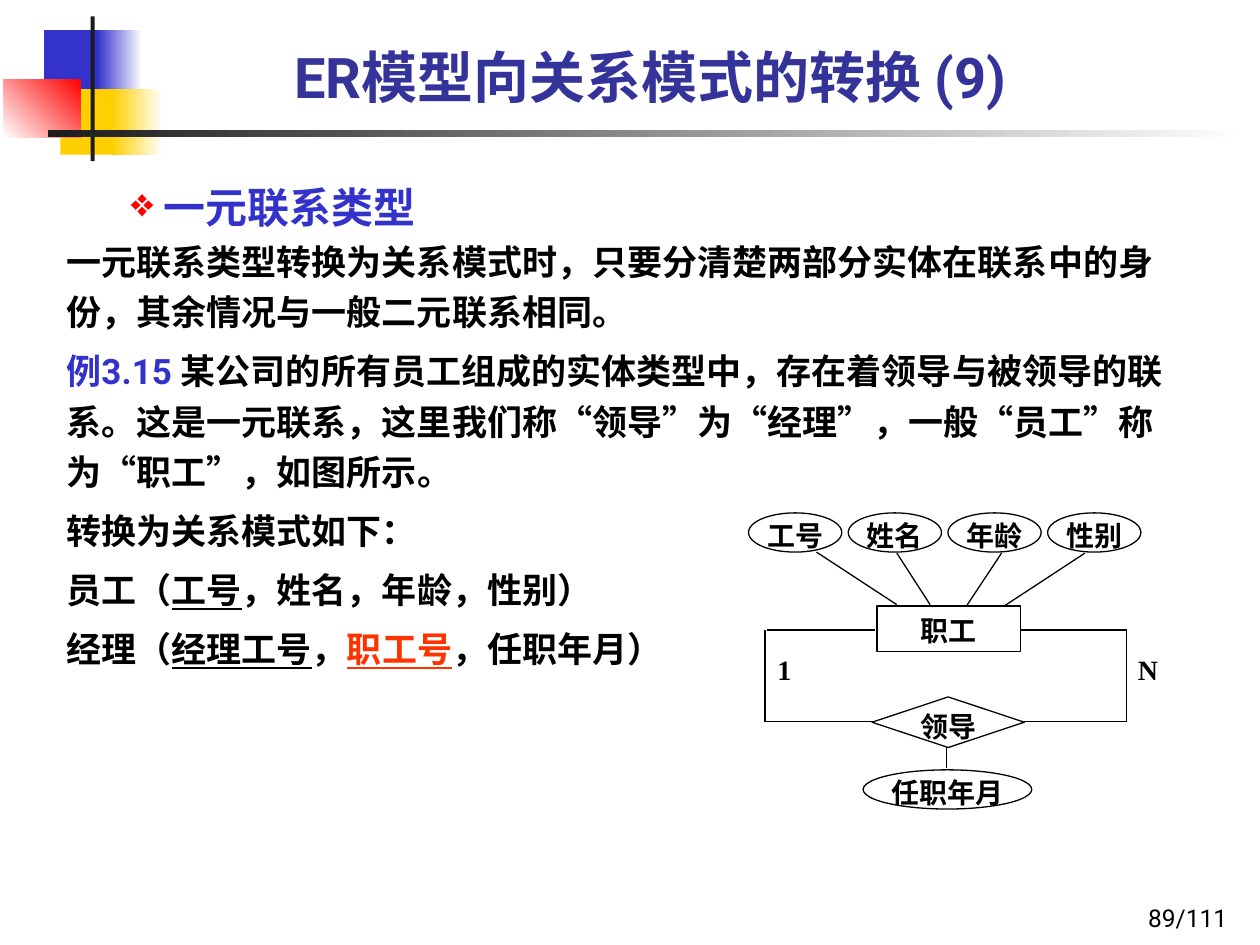
"""Build the slide on turning unary ER links into relation schemas."""
from dataclasses import dataclass
from itertools import groupby
from typing import NamedTuple, Optional

from lxml import etree
from pptx import Presentation
from pptx.dml.color import RGBColor
from pptx.enum import shapes, text
from pptx.oxml.ns import qn
from pptx.util import Cm, Pt

KIND = shapes.MSO_SHAPE
ALIGN = text.PP_ALIGN
ANCHOR = text.MSO_ANCHOR


@dataclass(frozen=True)
class Theme:
    """Colours, fonts and type sizes."""
    sans: str = "Roboto"
    serif: str = "Times New Roman"
    black: str = "000000"
    white: str = "FFFFFF"
    ink: str = "1C1C1C"
    blue: str = "3333CC"
    navy: str = "333399"
    gold: str = "FFCF01"
    red: str = "FF0000"
    key: str = "FF3300"
    title: int = 32
    head: int = 24
    body: int = 20
    node: int = 16
    page: int = 14
    line: float = 0.75


T = Theme()


class Box(NamedTuple):
    """Place and size in centimetres."""
    x: float
    y: float
    w: float
    h: float

    def emu(self) -> list:
        """Give the four lengths as Cm."""
        return [Cm(v) for v in self]


class Block(NamedTuple):
    """A plain or fading block of the corner mark."""
    box: Box
    tone: str
    fade: Optional[str] = None
    turn: int = 0


class Node(NamedTuple):
    """A labelled part of the ER chart."""
    word: str
    kind: int
    box: Box
    fill: Optional[str] = None
    top: float = 0


class Bit(NamedTuple):
    """A piece of body text."""
    word: str
    tone: str = T.black
    under: bool = False


BLOCKS = [
    Block(Box(0.89, 0.61, 1.22, 1.32), T.blue),
    Block(Box(1.96, 0.61, 0.91, 1.32), T.blue, T.white),
    Block(Box(1.22, 1.8, 1.17, 1.32), T.gold),
    Block(Box(2.26, 1.8, 1.02, 1.32), T.gold, T.white),
    Block(Box(0.08, 1.6, 1.55, 1.17), T.white, T.red, 45),
    Block(Box(1.83, 0.33, 0.08, 2.92), T.ink),
    Block(Box(0.97, 2.62, 24.16, 0.15), T.ink, T.white),
]
LINES = [
    (16.46, 11.13, 18.08, 12.19), (18.08, 11.15, 18.75, 12.19),
    (20.19, 11.15, 19.48, 12.22), (21.87, 11.15, 20.24, 12.22),
    (15.47, 12.7, 17.63, 12.7), (20.55, 12.7, 22.71, 12.7),
    (15.42, 12.7, 15.42, 14.55), (22.71, 12.7, 22.71, 14.55),
    (15.42, 14.55, 22.71, 14.55), (19.08, 15.04, 19.08, 15.49),
]
NODES = [
    Node(word, KIND.OVAL, Box(15.09 + 2.01 * i, 10.34, 1.88, 0.79))
    for i, word in enumerate(["工号", "姓名", "年龄", "性别"])
] + [
    Node("职工", KIND.RECTANGLE, Box(17.68, 12.22, 2.9, 0.91), T.white, 0.15),
    Node("领导", KIND.DIAMOND, Box(17.58, 14.05, 3.07, 1.02), T.white),
    Node("任职年月", KIND.OVAL, Box(17.4, 15.52, 3.4, 0.79)),
]
ENDS = [("1", Box(15.67, 13.16, 0.53, 0.53)), ("N", Box(22.94, 13.16, 0.53, 0.53))]
BODY = [
    [Bit("一元联系类型转换为关系模式时，只要分清楚两部分实体在联系中的身份，其余情况与一般二元联系相同。")],
    [Bit("例3.15 ", T.blue),
     Bit("某公司的所有员工组成的实体类型中，存在着领导与被领导的联系。这是一元联系，"
         "这里我们称“领导”为“经理”，一般“员工”称为“职工”，如图所示。")],
    [Bit("转换为关系模式如下：")],
    [Bit("员工（"), Bit("工号", under=True), Bit("，姓名，年龄，性别）")],
    [Bit("经理（"), Bit("经理工号", under=True), Bit("，"),
     Bit("职工号", T.key, True), Bit("，任职年月）")],
]


def write(para, word: str, *, size: int, tone: str = T.black, face: str = T.sans,
          bold: bool = True, under: bool = False) -> None:
    """Add text to a paragraph, with curly quotes in the serif face."""
    for quote, chars in groupby(word, lambda c: c in "“”"):
        run = para.add_run()
        run.text = "".join(chars)
        font = run.font
        font.name = T.serif if quote else face
        font.size, font.bold, font.underline = Pt(size), bold, under
        font.color.rgb = RGBColor.from_string(tone)


def inset(frame, left: float, top: float, right: float, foot: float) -> None:
    """Set the four margins of a text frame."""
    frame.margin_left, frame.margin_top = Cm(left), Cm(top)
    frame.margin_right, frame.margin_bottom = Cm(right), Cm(foot)


def frame_in(slide, box: Box):
    """Add a wrapping text box and return its frame."""
    frame = slide.shapes.add_textbox(*box.emu()).text_frame
    frame.word_wrap = True
    return frame


def draw_block(slide, item: Block) -> None:
    """Draw a block of the corner mark."""
    shape = slide.shapes.add_shape(KIND.RECTANGLE, *item.box.emu())
    shape.shadow.inherit = False
    shape.line.fill.background()
    if item.fade:
        shape.fill.gradient()
        shape.fill.gradient_angle = item.turn
        for stop, tone in zip(shape.fill.gradient_stops, (item.tone, item.fade)):
            stop.color.rgb = RGBColor.from_string(tone)
    else:
        shape.fill.solid()
        shape.fill.fore_color.rgb = RGBColor.from_string(item.tone)


def edge(line) -> None:
    """Give a line its colour and width."""
    line.color.rgb = RGBColor.from_string(T.black)
    line.width = Pt(T.line)


def draw_line(slide, ends: tuple) -> None:
    """Draw a straight link."""
    link = slide.shapes.add_connector(shapes.MSO_CONNECTOR.STRAIGHT, *map(Cm, ends))
    edge(link.line)
    etree.SubElement(link._element.spPr, qn("a:effectLst"))


def draw_node(slide, node: Node) -> None:
    """Draw a labelled node."""
    shape = slide.shapes.add_shape(node.kind, *node.box.emu())
    shape.shadow.inherit = False
    edge(shape.line)
    if node.fill:
        shape.fill.solid()
        shape.fill.fore_color.rgb = RGBColor.from_string(node.fill)
    else:
        shape.fill.background()
    frame = shape.text_frame
    frame.word_wrap, frame.vertical_anchor = False, ANCHOR.TOP
    inset(frame, 0, node.top, 0, 0)
    para = frame.paragraphs[0]
    para.alignment = ALIGN.CENTER
    write(para, node.word, size=T.node, face=T.serif)


def draw_title(slide) -> None:
    """Place and fill the title."""
    title = slide.shapes.title
    title.left, title.top, title.width, title.height = Box(2.29, 0.13, 21.64, 2.21).emu()
    frame = title.text_frame
    frame.auto_size, frame.vertical_anchor = text.MSO_AUTO_SIZE.NONE, ANCHOR.BOTTOM
    para = frame.paragraphs[0]
    para.alignment = ALIGN.CENTER
    write(para, "ER模型向关系模式的转换 (9)", size=T.title, tone=T.navy)


def bullet(para) -> None:
    """Give a paragraph the red diamond bullet."""
    props = para._p.get_or_add_pPr()
    props.set("marL", "0")
    props.set("indent", str(Cm(1.3)))
    tone = etree.SubElement(props, qn("a:buClr"))
    etree.SubElement(tone, qn("a:srgbClr"), val=T.red)
    etree.SubElement(props, qn("a:buSzPct"), val="95000")
    etree.SubElement(props, qn("a:buChar"), char="❖")


def draw_body(slide) -> None:
    """Write the heading and the body text."""
    frame = frame_in(slide, Box(1.09, 3.33, 23.01, 13.21))
    head = frame.paragraphs[0]
    bullet(head)
    head.line_spacing = 1.2
    write(head, " 一元联系类型", size=T.head, tone=T.blue)
    for i, bits in enumerate(BODY):
        para = frame.add_paragraph()
        para.line_spacing, para.space_before = 1.2, Pt(5 if i else 0)
        for bit in bits:
            write(para, bit.word, size=T.body, tone=bit.tone, under=bit.under)


def main() -> None:
    """Build and save the deck."""
    deck = Presentation()
    deck.slide_width, deck.slide_height = Cm(25.4), Cm(19.05)
    slide = deck.slides.add_slide(deck.slide_layouts[5])
    for item in BLOCKS:
        draw_block(slide, item)
    draw_title(slide)
    draw_body(slide)
    for ends in LINES:
        draw_line(slide, ends)
    for node in NODES:
        draw_node(slide, node)
    for word, box in ENDS:
        frame = frame_in(slide, box)
        inset(frame, 0, 0, 0, 0)
        frame.paragraphs[0].alignment = ALIGN.JUSTIFY
        write(frame.paragraphs[0], word, size=T.node, face=T.serif)
    frame = frame_in(slide, Box(19.71, 17.65, 5.28, 1.27))
    frame.vertical_anchor = ANCHOR.BOTTOM
    frame.paragraphs[0].alignment = ALIGN.RIGHT
    write(frame.paragraphs[0], "89/111", size=T.page, bold=False)
    deck.save("out.pptx")


if __name__ == "__main__":
    main()
